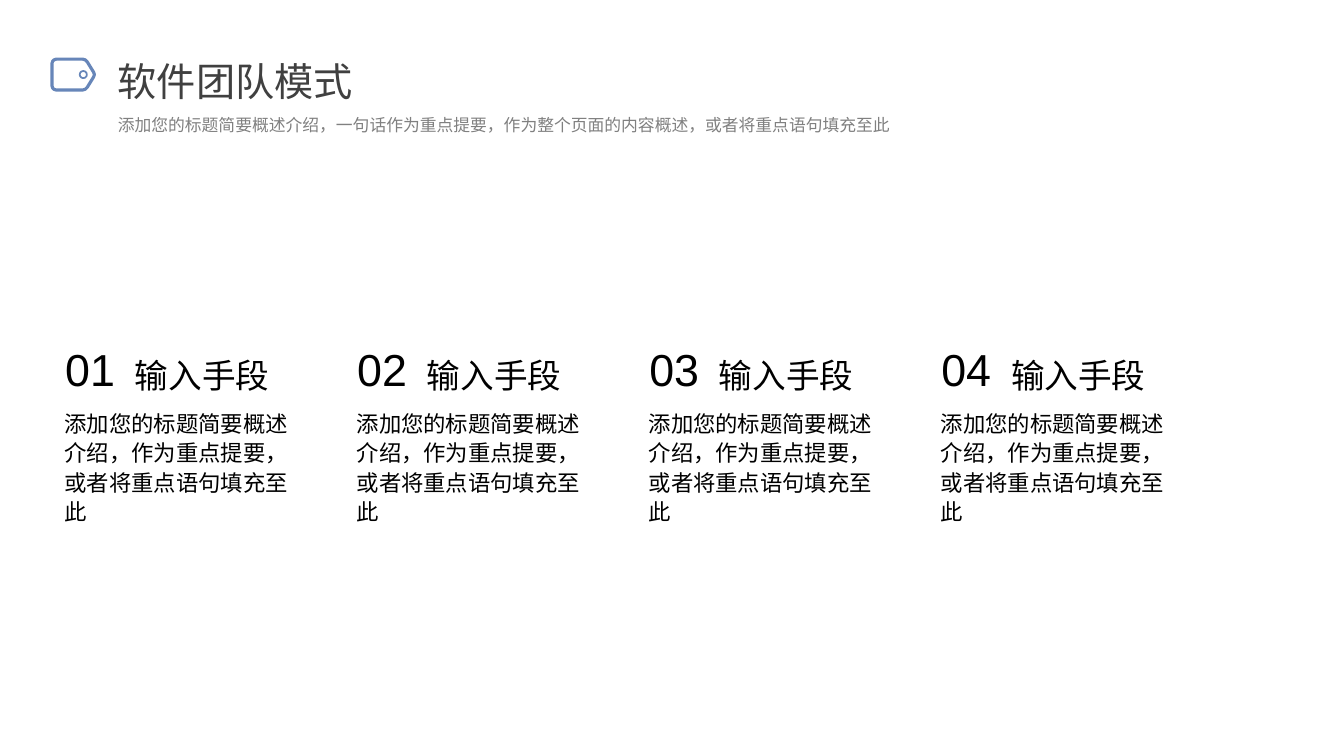
from pptx import Presentation
from pptx.dml.color import RGBColor
from pptx.enum.shapes import MSO_SHAPE
from pptx.enum.text import MSO_ANCHOR, MSO_AUTO_SIZE, PP_ALIGN
from pptx.util import Cm, Pt

TOP, BOTTOM = MSO_ANCHOR.TOP, MSO_ANCHOR.BOTTOM
LEFT, RIGHT = PP_ALIGN.LEFT, PP_ALIGN.RIGHT
NO_AUTOFIT = MSO_AUTO_SIZE.NONE
OVAL = MSO_SHAPE.OVAL
BLUE, DARK, GRAY, BLACK = "6786B9", "404040", "808080", "000000"


def color(hex_code):
    return RGBColor.from_string(hex_code)


def write(shape, text, size, hex_code, spacing=1.0, align=LEFT, anchor=TOP, margin=0.13):
    frame = shape.text_frame
    frame.text = text
    frame_format = {
        "word_wrap": True, "auto_size": NO_AUTOFIT, "vertical_anchor": anchor,
        "margin_left": Cm(0.25), "margin_right": Cm(0.25),
        "margin_top": Cm(margin), "margin_bottom": Cm(margin),
    }
    for name, value in frame_format.items():
        setattr(frame, name, value)
    paragraph = frame.paragraphs[0]
    paragraph.alignment = align
    paragraph.line_spacing = spacing
    font = paragraph.runs[0].font
    for name, value in {"name": "Arial", "size": Pt(size)}.items():
        setattr(font, name, value)
    font.color.rgb = color(hex_code)


presentation = Presentation()
presentation.slide_width = Cm(33.87)
presentation.slide_height = Cm(19.05)
slide = presentation.slides.add_slide(presentation.slide_layouts[5])
shapes = slide.shapes

# Title and subtitle
title = shapes.title
title_place = {"left": 2.72, "top": 1.09, "width": 20, "height": 1.65}
for name, value in title_place.items():
    setattr(title, name, Cm(value))
write(title, "软件团队模式", 28, DARK, spacing=1.3, margin=0)
subtitle = shapes.add_textbox(Cm(2.72), Cm(2.74), Cm(20), Cm(0.86))
write(subtitle, "添加您的标题简要概述介绍，一句话作为重点提要，作为整个页面的内容概述，或者将重点语句填充至此",
      12, GRAY, spacing=1.3, margin=0)

# Tag icon: upper edge in hundredths of a centimetre, mirrored about its axis
axis = 188
upper_edge = [(131, 28), (133, 34), (136, 37), (142, 39), (208, 39),
              (215, 37), (220, 32), (236, 6)]
outline = [(x, axis - rise) for x, rise in upper_edge]
outline += [(238, axis)]
outline += [(x, axis + rise) for x, rise in reversed(upper_edge)]
builder = shapes.build_freeform(*outline[0], scale=Cm(0.01))
builder.add_line_segments(outline[1:], close=True)
tag = builder.convert_to_shape()
hole = shapes.add_shape(OVAL, Cm(2.01), Cm(1.79), Cm(0.18), Cm(0.18))
for shape, width in ((tag, 2.25), (hole, 1.25)):
    shape.shadow.inherit = False
    shape.fill.background()
    shape.line.color.rgb = color(BLUE)
    shape.line.width = Pt(width)

# Four numbered columns
column_left, column_pitch, column_count = 1.38, 7.36, 4
number_width, label_width = 1.77, 4.72
heading_top, heading_height = 8.46, 1.63
for index in range(column_count):
    left = column_left + index * column_pitch
    number = shapes.add_textbox(Cm(left), Cm(heading_top), Cm(number_width), Cm(heading_height))
    write(number, f"{index + 1:02d}", 32, BLACK, align=RIGHT, anchor=BOTTOM)
    label = shapes.add_textbox(Cm(left + number_width), Cm(heading_top),
                               Cm(label_width), Cm(heading_height))
    write(label, "输入手段", 24, BLACK, spacing=1.3, anchor=BOTTOM)
    body = shapes.add_textbox(Cm(left), Cm(10.13), Cm(6.48), Cm(3.45))
    write(body, "添加您的标题简要概述介绍，作为重点提要，或者将重点语句填充至此", 16, BLACK, spacing=1.1)

presentation.save("out.pptx")
